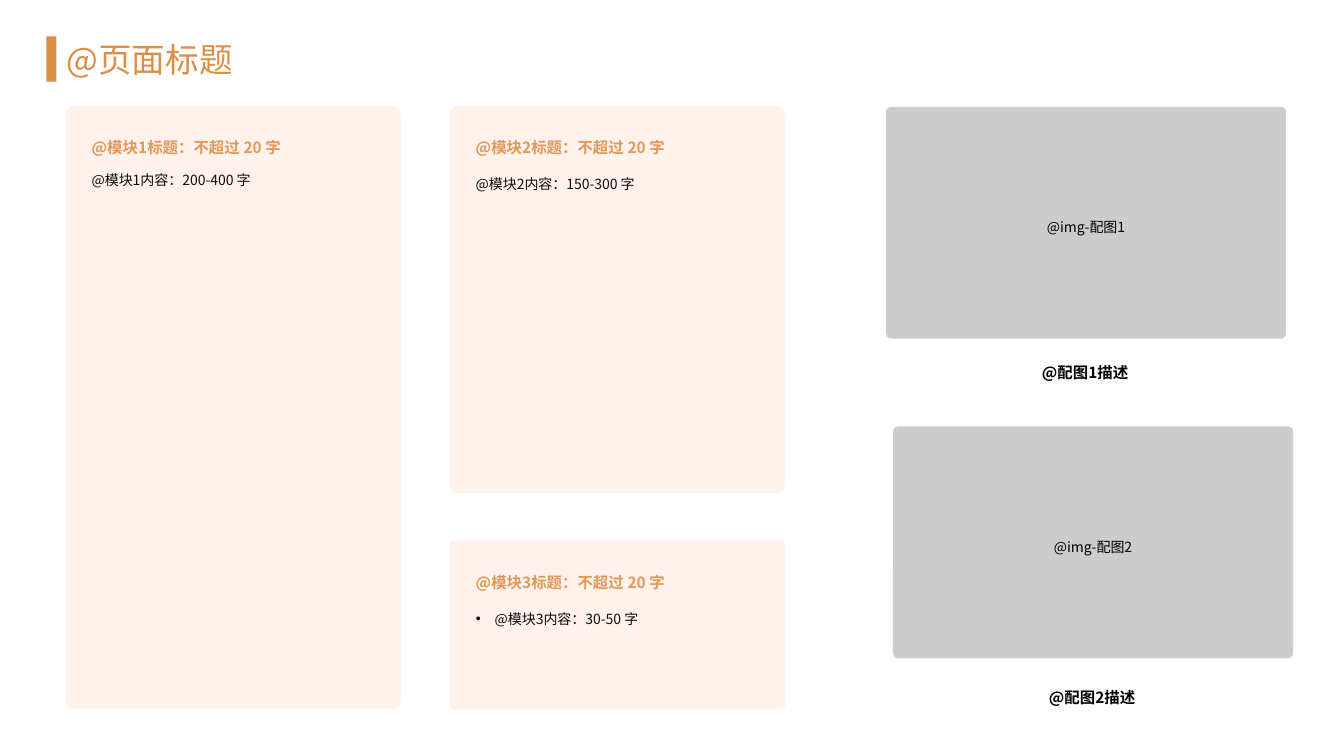
from lxml import etree
from pptx import Presentation
from pptx.dml.color import RGBColor
from pptx.enum.shapes import MSO_SHAPE
from pptx.enum.text import MSO_ANCHOR, MSO_AUTO_SIZE, PP_ALIGN
from pptx.oxml.ns import qn
from pptx.util import Pt

RECT, ROUND = MSO_SHAPE.RECTANGLE, MSO_SHAPE.ROUNDED_RECTANGLE
TOP, MIDDLE = MSO_ANCHOR.TOP, MSO_ANCHOR.MIDDLE
LEFT, CENTER = PP_ALIGN.LEFT, PP_ALIGN.CENTER
FIXED, GROW = MSO_AUTO_SIZE.NONE, MSO_AUTO_SIZE.SHAPE_TO_FIT_TEXT
FONT = "Noto Sans CJK SC"

TITLE = {"size": Pt(24), "bold": False, "color": "DA8E46"}
HEADING = {"size": Pt(11), "bold": True, "color": "DE9959"}
BODY = {"size": Pt(10), "bold": False, "color": "0D0D0D"}
CAPTION = {"size": Pt(11), "bold": True, "color": "000000"}
LABEL = {"size": Pt(10), "bold": False, "color": "000000"}


def write(sp, text, style, align=LEFT, anchor=TOP, spacing=1.5, fit=FIXED):
    tf = sp.text_frame
    frame = {"word_wrap": True, "auto_size": fit, "vertical_anchor": anchor}
    for name, value in frame.items():
        setattr(tf, name, value)
    p = tf.paragraphs[0]
    para = {"alignment": align, "line_spacing": spacing, "space_before": Pt(0)}
    for name, value in para.items():
        setattr(p, name, value)
    r = p.add_run()
    r.text = text
    r.font.name = FONT
    for name, value in style.items():
        if name == "color":
            r.font.color.rgb = RGBColor.from_string(value)
        else:
            setattr(r.font, name, value)
    etree.SubElement(r.font._element, qn("a:ea"), typeface=FONT)


def block(kind, box, color, radius=None):
    sp = s.shapes.add_shape(kind, *map(Pt, box))
    sp.shadow.inherit = False
    sp.fill.solid()
    sp.fill.fore_color.rgb = RGBColor.from_string(color)
    sp.line.fill.background()
    if radius is not None:
        sp.adjustments[0] = radius
    return sp


prs = Presentation()
prs.slide_width, prs.slide_height = Pt(960), Pt(540)
s = prs.slides.add_slide(prs.slide_layouts[1])
title, bullets = s.placeholders

block(RECT, (33.1, 25.9, 7.2, 32.4), "DA8E46")
title.left, title.top, title.width, title.height = map(Pt, (40.3, 20.2, 879.8, 43.9))
write(title, "@页面标题", TITLE, anchor=MIDDLE, spacing=1.0)

modules = [
    (46.8, 75.6, 430.6, 37.4, 379.4, "200-400"),
    (321.1, 75.6, 276.5, 40.3, 221.8, "150-300"),
    (321.1, 385.9, 121, 40.3, 69.1, "30-50"),
]
for n, (x, y, h, body_dy, body_h, count) in enumerate(modules, 1):
    block(ROUND, (x, y, 239.8, h), "FFF1EB", 0.027)
    box = tuple(map(Pt, (x + 11.6, y + body_dy, 216.7, body_h)))
    if n == 3:
        sp = bullets
        sp.left, sp.top, sp.width, sp.height = box
        s.shapes._spTree.append(sp._element)
    else:
        sp = s.shapes.add_textbox(*box)
    write(sp, f"@模块{n}内容：{count} 字", BODY)
    sp = s.shapes.add_textbox(*map(Pt, (x + 11.6, y + 13, 209.5, 27.4)))
    write(sp, f"@模块{n}标题：不超过 20 字", HEADING, fit=GROW)

pPr = bullets.text_frame.paragraphs[0]._p.get_or_add_pPr()
pPr.set("marL", str(Pt(13.5)))
pPr.set("indent", str(Pt(-13.5)))

images = [(632.9, 76.3, 172.8), (637.9, 304.6, 177.1)]
for n, (x, y, caption_dy) in enumerate(images, 1):
    sp = block(ROUND, (x, y, 285.8, 165.6), "000000", 0.022)
    black = sp.fill._xPr.find(qn("a:solidFill"))[0]
    etree.SubElement(black, qn("a:alpha"), val="20000")
    write(sp, f"@img-配图{n}", LABEL, CENTER, MIDDLE)
    sp = s.shapes.add_textbox(*map(Pt, (x + 37.4, y + caption_dy, 209.5, 27.4)))
    write(sp, f"@配图{n}描述", CAPTION, CENTER, fit=GROW)

prs.save("out.pptx")
